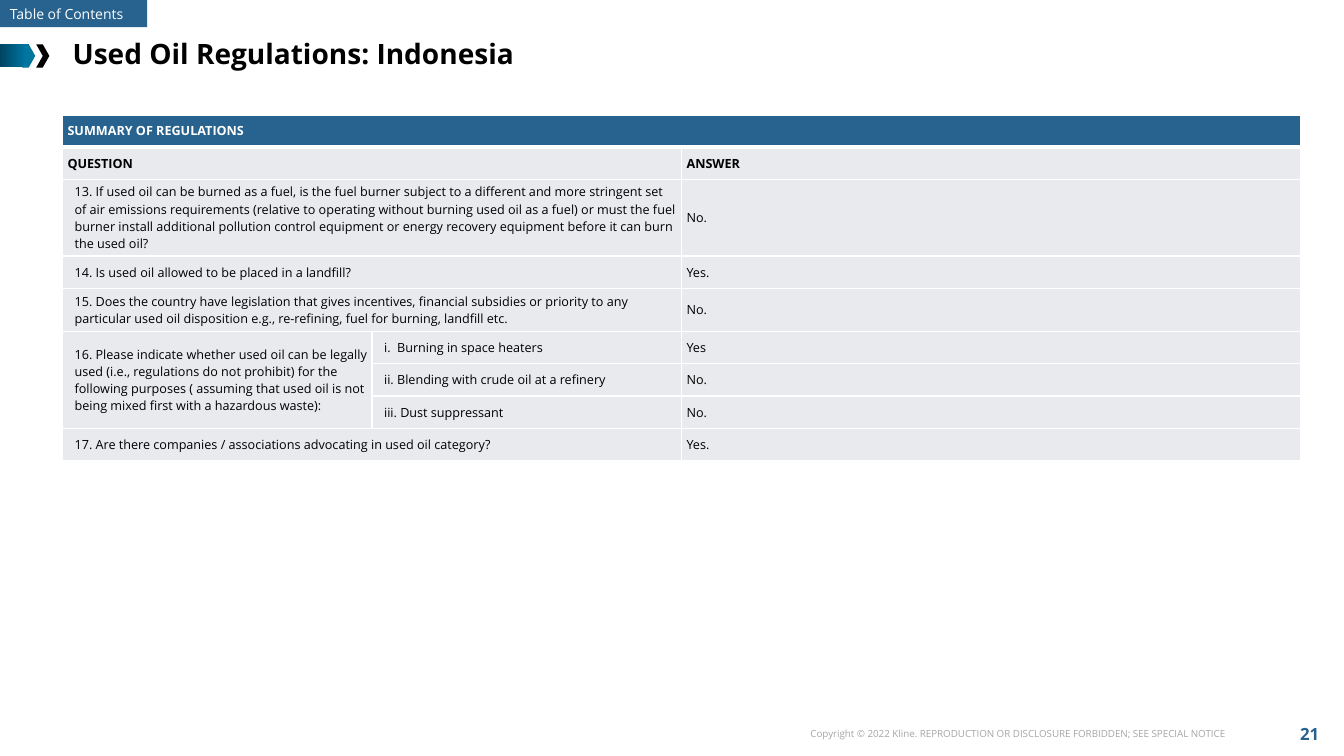
from dataclasses import dataclass

from lxml import etree
from pptx import Presentation
from pptx.dml.color import RGBColor
from pptx.enum.shapes import MSO_SHAPE
from pptx.enum.text import MSO_ANCHOR, MSO_AUTO_SIZE, PP_ALIGN
from pptx.oxml.ns import qn
from pptx.util import Pt

RECTANGLE, CHEVRON = MSO_SHAPE.RECTANGLE, MSO_SHAPE.CHEVRON
MIDDLE, TOP = MSO_ANCHOR.MIDDLE, MSO_ANCHOR.TOP
LEFT, CENTER, RIGHT = PP_ALIGN.LEFT, PP_ALIGN.CENTER, PP_ALIGN.RIGHT
NO_AUTOFIT = MSO_AUTO_SIZE.NONE
EMU_PER_PX = 9144  # 100 px to the inch
TITLE_ONLY_LAYOUT = 5


@dataclass(frozen=True)
class Theme:
    font: str = "Open Sans"
    blue: str = "27638E"
    gradient_start: str = "004461"
    gradient_end: str = "007BAA"
    chevron_blue: str = "00759E"
    black: str = "000000"
    white: str = "FFFFFF"
    cell: str = "E8EAEE"
    grey: str = "A6A6A6"
    title_size: int = 20
    number_size: int = 12
    tab_size: int = 10
    table_size: int = 9
    footer_size: int = 7


THEME = Theme()

# Question, optional sub-question, answer; None continues the question above.
REGULATIONS = [
    ("13. If used oil can be burned as a fuel, is the fuel burner subject to a different and more "
     "stringent set of air emissions requirements (relative to operating without burning used oil "
     "as a fuel) or must the fuel burner install additional pollution control equipment or energy "
     "recovery equipment before it can burn the used oil?", "", "No."),
    ("14. Is used oil allowed to be placed in a landfill?", "", "Yes."),
    ("15. Does the country have legislation that gives incentives, financial subsidies or priority "
     "to any particular used oil disposition e.g., re-refining, fuel for burning, landfill etc.",
     "", "No."),
    ("16. Please indicate whether used oil can be legally used (i.e., regulations do not prohibit) "
     "for the following purposes ( assuming that used oil is not being mixed first with a "
     "hazardous waste):", "i.  Burning in space heaters", "Yes"),
    (None, "ii. Blending with crude oil at a refinery", "No."),
    (None, "iii. Dust suppressant", "No."),
    ("17. Are there companies / associations advocating in used oil category?", "", "Yes."),
]
COLUMN_WIDTHS = [307, 307, 614]
ROW_HEIGHTS = [32, 32, 76, 32, 43, 32, 32, 32, 32]


def px(*lengths):
    return [length * EMU_PER_PX for length in lengths]


def color(name):
    return RGBColor.from_string(name)


def write(frame, text, size, ink, bold=False, align=LEFT, anchor=TOP):
    frame.word_wrap = True
    frame.auto_size = NO_AUTOFIT
    frame.vertical_anchor = anchor
    format_text(frame.paragraphs[0], text, size, ink, bold, align)


def format_text(paragraph, text, size, ink, bold=False, align=LEFT):
    paragraph.text = text
    paragraph.alignment = align
    font = paragraph.font
    font.name, font.size, font.bold = THEME.font, Pt(size), bold
    font.color.rgb = color(ink)


def add_block(slide, preset, box, fill):
    shape = slide.shapes.add_shape(preset, *px(*box))
    shape.shadow.inherit = False
    shape.line.fill.background()
    shape.fill.solid()
    shape.fill.fore_color.rgb = color(fill)
    return shape


def add_header(slide, left, top, title):
    tab = add_block(slide, RECTANGLE, (left, top, 146, 27), THEME.blue)
    write(tab.text_frame, "Table of Contents", THEME.tab_size, THEME.white, anchor=MIDDLE)

    bar = add_block(slide, RECTANGLE, (left, top + 44, 29, 23), THEME.blue)
    bar.fill.gradient()
    bar.fill.gradient_angle = 0
    for stop, shade in zip(bar.fill.gradient_stops, (THEME.gradient_start, THEME.gradient_end)):
        stop.color.rgb = color(shade)
    for offset, shade in ((22, THEME.chevron_blue), (36, THEME.black)):
        add_block(slide, CHEVRON, (left + offset, top + 44, 13, 23), shade)

    heading = slide.shapes.title
    heading.left, heading.top, heading.width, heading.height = px(left + 62, top + 31, 1200, 44)
    write(heading.text_frame, title, THEME.title_size, THEME.black, bold=True, anchor=MIDDLE)


def set_borders(cell, bottom_points):
    properties = cell._tc.get_or_add_tcPr()
    widths = {"a:lnL": 1, "a:lnR": 1, "a:lnT": 1, "a:lnB": bottom_points}
    for position, (tag, points) in enumerate(widths.items()):
        line = etree.Element(qn(tag), w=str(Pt(points)))
        fill = etree.SubElement(line, qn("a:solidFill"))
        etree.SubElement(fill, qn("a:srgbClr"), val=THEME.white)
        properties.insert(position, line)


def fill_cell(cell, text, fill, ink, bold, indented):
    cell.fill.solid()
    cell.fill.fore_color.rgb = color(fill)
    cell.vertical_anchor = MIDDLE
    margins = (12, 4, 4, 4) if indented else (5, 5, 5, 5)
    cell.margin_left, cell.margin_top, cell.margin_right, cell.margin_bottom = px(*margins)
    format_text(cell.text_frame.paragraphs[0], text, THEME.table_size, ink, bold)


def add_regulations_table(slide, left, top):
    rows = [("SUMMARY OF REGULATIONS", "", ""), ("QUESTION", "", "ANSWER"), *REGULATIONS]
    frame = slide.shapes.add_table(len(rows), len(COLUMN_WIDTHS),
                                   *px(left, top, sum(COLUMN_WIDTHS), sum(ROW_HEIGHTS)))
    table = frame.table
    table.first_row = table.horz_banding = False
    for column, width in zip(table.columns, px(*COLUMN_WIDTHS)):
        column.width = width
    for row, height in zip(table.rows, px(*ROW_HEIGHTS)):
        row.height = height

    group_start = 0
    for row_index, texts in enumerate(rows):
        is_banner, is_heading = row_index == 0, row_index < 2
        for column_index, text in enumerate(texts):
            cell = table.cell(row_index, column_index)
            fill_cell(cell, text or "", THEME.blue if is_banner else THEME.cell,
                      THEME.white if is_banner else THEME.black, is_heading,
                      indented=not is_heading and column_index < 2)
            set_borders(cell, bottom_points=3 if is_banner else 1)
        if not texts[1]:
            last_column = 2 if is_banner else 1
            table.cell(row_index, 0).merge(table.cell(row_index, last_column))
        if texts[0] is not None:
            group_start = row_index
        elif row_index + 1 == len(rows) or rows[row_index + 1][0] is not None:
            table.cell(group_start, 0).merge(table.cell(row_index, 0))


def add_footer(slide, left, top):
    copyright_box = slide.shapes.add_textbox(*px(left, top + 10, 454, 22))
    write(copyright_box.text_frame,
          "Copyright © 2022 Kline. REPRODUCTION OR DISCLOSURE FORBIDDEN; SEE SPECIAL NOTICE",
          THEME.footer_size, THEME.grey, align=RIGHT)
    number_box = slide.shapes.add_textbox(*px(left + 497, top, 62, 43))
    write(number_box.text_frame, "21", THEME.number_size, THEME.blue, bold=True,
          align=CENTER, anchor=MIDDLE)


def main():
    presentation = Presentation()
    presentation.slide_width, presentation.slide_height = px(1333, 750)
    slide = presentation.slides.add_slide(presentation.slide_layouts[TITLE_ONLY_LAYOUT])
    add_header(slide, 0, 0, "Used Oil Regulations: Indonesia")
    add_regulations_table(slide, 62, 114)
    add_footer(slide, 771, 707)
    presentation.save("out.pptx")


if __name__ == "__main__":
    main()
